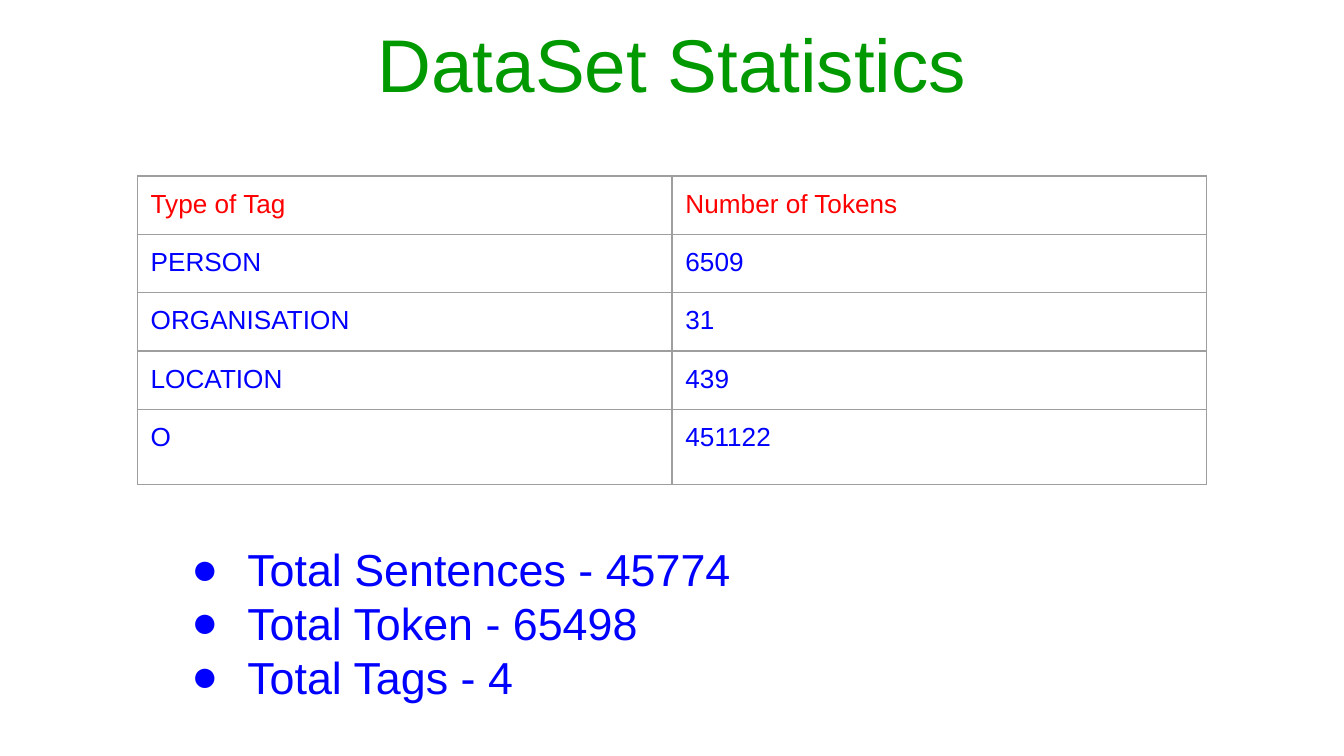
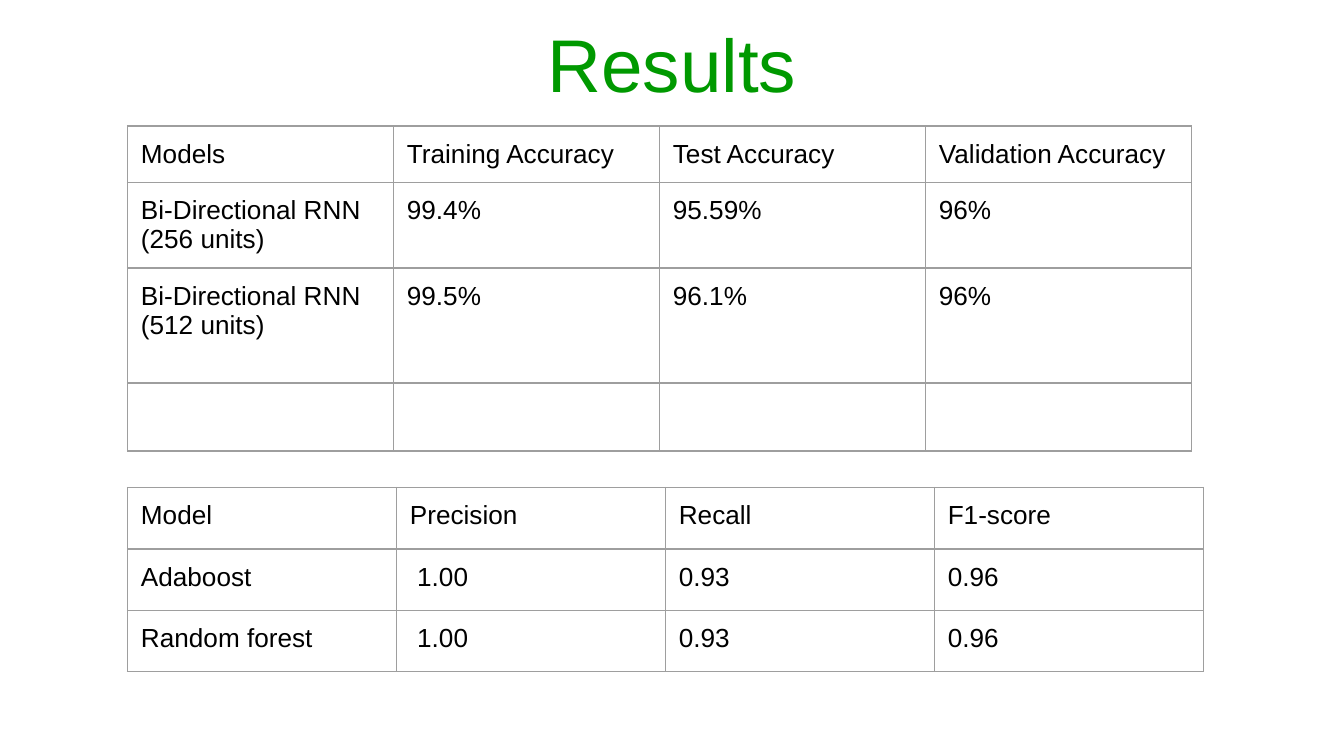
from lxml import etree
from pptx import Presentation
from pptx.dml.color import RGBColor
from pptx.enum.text import MSO_ANCHOR, MSO_AUTO_SIZE, PP_ALIGN
from pptx.oxml.ns import qn
from pptx.util import Pt

CENTER, LEFT = PP_ALIGN.CENTER, PP_ALIGN.LEFT
MIDDLE, TOP = MSO_ANCHOR.MIDDLE, MSO_ANCHOR.TOP
NO_FIT, GROW = MSO_AUTO_SIZE.NONE, MSO_AUTO_SIZE.SHAPE_TO_FIT_TEXT
TITLE_AND_BODY, TITLE_ONLY = 1, 5

COLORS = {
    "title": "009900",
    "header": "FF0000",
    "accent": "0000FF",
    "text": "000000",
    "border": "9E9E9E",
}
FONT = "Arial"
INSET = Pt(7.2)


class Deck:
    """Holds the shared style and the slide being built."""

    def __init__(self):
        self.presentation = Presentation()
        self.presentation.slide_width = Pt(720)
        self.presentation.slide_height = Pt(405)
        self.slide = None

    def add_slide(self, layout, title):
        layouts = self.presentation.slide_layouts
        self.slide = self.presentation.slides.add_slide(layouts[layout])
        shape = self.slide.shapes.title
        self.place(shape, 36, 0, 648, 67.5)
        frame = shape.text_frame
        frame.text = title
        frame.vertical_anchor = MIDDLE
        frame.auto_size = NO_FIT
        frame.paragraphs[0].alignment = CENTER
        self.format_runs(frame, 40, "title")

    def place(self, shape, left, top, width, height):
        shape.left, shape.top = Pt(left), Pt(top)
        shape.width, shape.height = Pt(width), Pt(height)

    def format_runs(self, frame, size, color):
        for paragraph in frame.paragraphs:
            for run in paragraph.runs:
                run.font.name = FONT
                run.font.size = Pt(size)
                run.font.color.rgb = RGBColor.from_string(COLORS[color])

    def set_insets(self, target):
        target.margin_left = target.margin_right = INSET
        target.margin_top = target.margin_bottom = INSET

    def add_list(self, items, left, top, width, height):
        shape = self.slide.placeholders[1]
        self.place(shape, left, top, width, height)
        frame = shape.text_frame
        frame.text = "\n".join(items)
        frame.word_wrap = True
        frame.auto_size = GROW
        frame.vertical_anchor = TOP
        self.set_insets(frame)
        for paragraph in frame.paragraphs:
            paragraph.alignment = LEFT
            paragraph.space_before = Pt(0)
            self.add_bullet(paragraph)
        self.format_runs(frame, 24, "accent")

    def add_bullet(self, paragraph):
        properties = paragraph._p.get_or_add_pPr()
        properties.set("marL", str(Pt(36)))
        properties.set("indent", str(-Pt(30)))
        color = etree.SubElement(properties, qn("a:buClr"))
        etree.SubElement(color, qn("a:srgbClr"), val=COLORS["accent"])
        etree.SubElement(properties, qn("a:buFont"), typeface=FONT)
        etree.SubElement(properties, qn("a:buChar"), char="●")

    def add_table(self, rows, left, top, width, heights, header="text", body="text"):
        column_count = len(rows[0])
        frame = self.slide.shapes.add_table(
            len(rows), column_count, Pt(left), Pt(top), Pt(width), Pt(sum(heights))
        )
        table = frame.table
        table.first_row = table.horz_banding = False
        for column in table.columns:
            column.width = Pt(width / column_count)
        for row_index, (values, height) in enumerate(zip(rows, heights)):
            table.rows[row_index].height = Pt(height)
            for column_index, value in enumerate(values):
                cell = table.cell(row_index, column_index)
                cell.text_frame.text = value
                self.set_insets(cell)
                self.format_runs(cell.text_frame, 14, body if row_index else header)
                self.add_borders(cell)
                cell.fill.background()

    def add_borders(self, cell):
        properties = cell._tc.get_or_add_tcPr()
        for side in ("lnL", "lnR", "lnT", "lnB"):
            line = etree.SubElement(properties, qn(f"a:{side}"), w=str(Pt(0.75)))
            fill = etree.SubElement(line, qn("a:solidFill"))
            etree.SubElement(fill, qn("a:srgbClr"), val=COLORS["border"])


def build_statistics(deck):
    deck.add_slide(TITLE_AND_BODY, "DataSet Statistics")
    tag_counts = [
        ("Type of Tag", "Number of Tokens"),
        ("PERSON", "6509"),
        ("ORGANISATION", "31"),
        ("LOCATION", "439"),
        ("O", "451122"),
    ]
    deck.add_table(tag_counts, 73.5, 94.3, 573, [30] * 4 + [40.5], "header", "accent")
    totals = ["Total Sentences - 45774", "Total Token - 65498", "Total Tags - 4"]
    deck.add_list(totals, 89.3, 283, 541.4, 101.5)


def build_results(deck):
    deck.add_slide(TITLE_ONLY, "Results")
    accuracies = [
        ("Models", "Training Accuracy", "Test Accuracy", "Validation Accuracy"),
        ("Bi-Directional RNN (256 units)", "99.4%", "95.59%", "96%"),
        ("Bi-Directional RNN (512 units)", "99.5%", "96.1%", "96%"),
        ("",) * 4,
    ]
    deck.add_table(accuracies, 68.3, 67.5, 570, [30.2, 45.5, 61.6, 34.8])
    scores = [
        ("Model", "Precision", "Recall", "F1-score"),
        ("Adaboost", " 1.00", "0.93", "0.96"),
        ("Random forest", " 1.00", "0.93", "0.96"),
    ]
    deck.add_table(scores, 68.3, 261.2, 576.4, [32.9] * 3)


def main():
    deck = Deck()
    build_statistics(deck)
    build_results(deck)
    deck.presentation.save("out.pptx")


if __name__ == "__main__":
    main()
